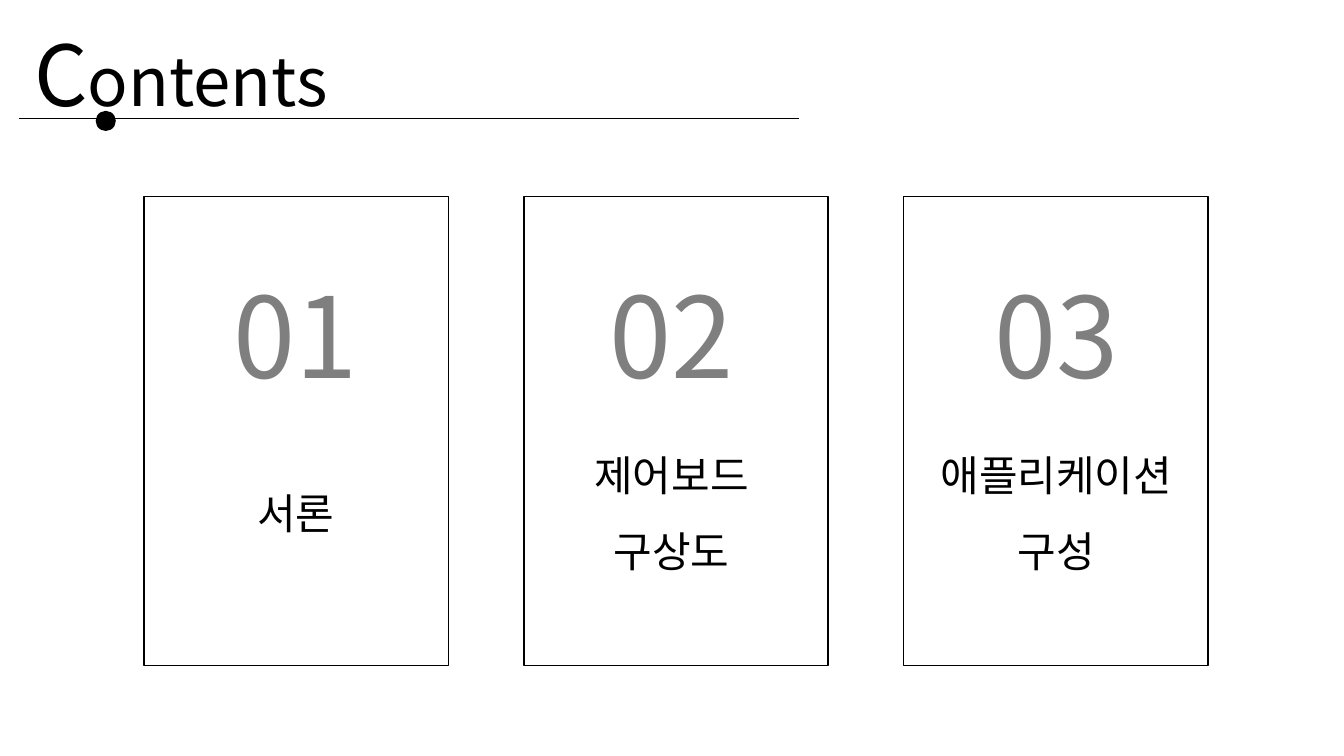
from lxml import etree
from pptx import Presentation
from pptx.dml.color import RGBColor
from pptx.enum.shapes import MSO_CONNECTOR, MSO_SHAPE
from pptx.enum.text import MSO_AUTO_SIZE, PP_ALIGN
from pptx.oxml.ns import qn
from pptx.util import Inches, Pt

STRAIGHT = MSO_CONNECTOR.STRAIGHT
RECTANGLE = MSO_SHAPE.RECTANGLE
OVAL = MSO_SHAPE.OVAL
GROW = MSO_AUTO_SIZE.SHAPE_TO_FIT_TEXT
LEFT, CENTER = PP_ALIGN.LEFT, PP_ALIGN.CENTER

FONT = "Noto Sans CJK KR"
COLORS = {"ink": "000000", "paper": "FFFFFF", "number": "7F7F7F"}

CARD_LEFT, CARD_TOP = 1.43, 1.95
CARD_WIDTH, CARD_HEIGHT = 3.02, 4.65
CARD_PITCH = 3.77
CARDS = [
    ("01", "서론", 1, 0),
    ("02", "제어보드\n구상도", 2, -0.04),
    ("03", "애플리케이션 구성", 2, 0.01),
]


def color(name):
    return RGBColor.from_string(COLORS[name])


def style_run(run, size, ink):
    run.font.size = Pt(size)
    run.font.name = FONT
    run.font.color.rgb = color(ink)
    east_asian = etree.SubElement(run.font._element, qn("a:ea"))
    east_asian.set("typeface", FONT)


def add_text(slide, box, text, size, ink="ink", align=CENTER, spacing=None, wrap=True):
    textbox = slide.shapes.add_textbox(*map(Inches, box))
    frame = textbox.text_frame
    frame.word_wrap = wrap
    frame.auto_size = GROW
    frame.text = text
    for paragraph in frame.paragraphs:
        paragraph.alignment = align
        if spacing:
            paragraph.line_spacing = spacing
        for run in paragraph.runs:
            style_run(run, size, ink)
    return frame


def add_filled_shape(slide, kind, box, fill):
    shape = slide.shapes.add_shape(kind, *map(Inches, box))
    shape.shadow.inherit = False
    shape.fill.solid()
    shape.fill.fore_color.rgb = color(fill)
    return shape


def add_heading(slide, left, top, width, height):
    title = add_text(slide, (left, top, width, height), "C", 60, align=LEFT, wrap=False)
    rest = title.paragraphs[0].add_run()
    rest.text = "ontents"
    style_run(rest, 48, "ink")

    rule_left, rule_top = left - 0.05, top + 1
    rule = slide.shapes.add_connector(
        STRAIGHT, *map(Inches, (rule_left, rule_top, rule_left + 7.74, rule_top)))
    rule.line.color.rgb = color("ink")
    rule.line.width = Pt(0.5)
    etree.SubElement(rule._element.spPr, qn("a:effectLst"))

    dot = add_filled_shape(slide, OVAL, (left + 0.71, top + 0.93, 0.2, 0.2), "ink")
    dot.line.fill.background()


def add_card(slide, left, top, width, height, number, label, line_count, text_shift):
    frame = add_filled_shape(slide, RECTANGLE, (left, top, width, height), "paper")
    frame.line.color.rgb = color("ink")
    frame.line.width = Pt(1)

    text_left = left + text_shift
    add_text(slide, (text_left + 0.61, top + 0.65, 1.79, 1.44), number, 80, "number")

    label_height = 0.75 * line_count + 0.1
    label_top = top + 3.01 - label_height / 2
    add_text(slide, (text_left + 0.18, label_top, 2.65, label_height), label, 30, spacing=1.5)


def main():
    deck = Presentation()
    deck.slide_width = Inches(13.34)
    deck.slide_height = Inches(7.5)
    slide = deck.slides.add_slide(deck.slide_layouts[6])
    add_heading(slide, 0.24, 0.17, 3.13, 1.1)
    for index, card in enumerate(CARDS):
        add_card(slide, CARD_LEFT + index * CARD_PITCH, CARD_TOP, CARD_WIDTH, CARD_HEIGHT, *card)
    deck.save("out.pptx")


if __name__ == "__main__":
    main()
